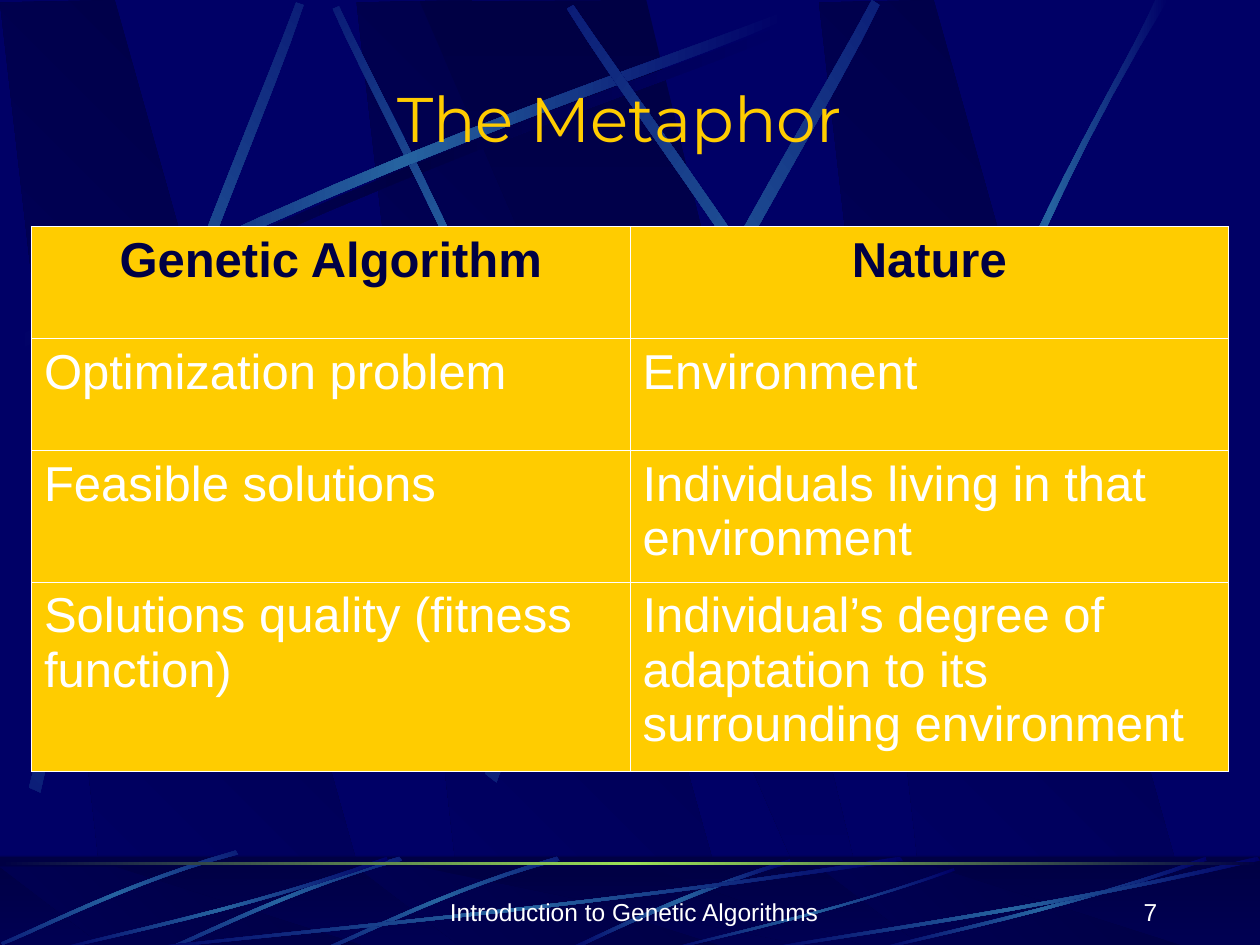
from dataclasses import dataclass
from math import cos, radians, sin

from lxml import etree
from pptx import Presentation
from pptx.dml.color import RGBColor
from pptx.enum.shapes import MSO_SHAPE
from pptx.enum.text import MSO_ANCHOR, PP_ALIGN
from pptx.oxml import parse_xml
from pptx.oxml.ns import nsdecls, qn
from pptx.util import Pt

RECT = MSO_SHAPE.RECTANGLE
MIDDLE, BOTTOM = MSO_ANCHOR.MIDDLE, MSO_ANCHOR.BOTTOM
LEFT, CENTER, RIGHT = PP_ALIGN.LEFT, PP_ALIGN.CENTER, PP_ALIGN.RIGHT

COLORS = {"blue": "000066", "navy": "000044", "steel": "2663A0",
          "green": "9CE157", "gold": "FFCC00", "white": "FFFFFF"}
BAND = ("navy", "blue")
GLOW = ("blue", "steel", "blue")
SHADE = ("blue", "navy", "blue")
GRID = 0.72  # points per unit of the outline coordinates
CURVE_STEPS = 12

Point = tuple[float, float]


@dataclass
class Streak:
    """Two cubic curves, out and back, closed into a thin blade."""
    out: list[Point]
    back: list[Point]
    rotation: float = 0
    stops: tuple[str, ...] = GLOW


@dataclass
class Label:
    text: str
    box: tuple[float, float, float, float]
    font: str
    size: float
    color: str
    align: PP_ALIGN
    anchor: MSO_ANCHOR


BAND_SHIFTS = (283, 0, 650)
WALL_BAND = [(86, 750), (302, 752), (91, 0), (0, 2)]
WALL_WEDGE = [(333, 1), (658, 751), (694, 751), (513, 0)]
FLOOR_BAND = [(86, 754), (302, 755), (91, 688), (0, 688)]
FLOOR_WEDGE = [(333, 688), (658, 754), (694, 754), (513, 688)]

WALL_STREAKS = [
    Streak([(20, 275), (284, 134), (524, 59), (626, 18)],
           [(629, 24), (528, 69), (254, 151), (23, 285)], stops=SHADE),
    Streak([(460, 436), (391, 234), (302, 77), (269, 5)],
           [(264, 7), (295, 79), (398, 258), (454, 439)], 45),
    Streak([(14, 267), (278, 125), (518, 51), (620, 10)],
           [(623, 16), (522, 61), (248, 143), (17, 277)]),
    Streak([(23, 625), (93, 334), (197, 105), (235, 2)],
           [(241, 4), (207, 108), (86, 368), (32, 629)], 311.7),
    Streak([(385, 614), (498, 320), (638, 102), (692, 0)],
           [(698, 4), (649, 108), (486, 355), (394, 621)], 321.6),
    Streak([(806, 560), (670, 293), (516, 95), (455, 4)],
           [(450, 7), (507, 101), (685, 325), (799, 566)], 34.8),
    Streak([(738, 393), (814, 173), (888, 66), (917, 0)],
           [(927, 0), (836, 145), (769, 322), (744, 397)]),
]


def shifted(points: list[Point], dx: float, dy: float = 0) -> list[Point]:
    return [(x + dx, y + dy) for x, y in points]


def floor_streaks() -> list[Streak]:
    tilted_out = [(317, 680), (230, 705), (162, 740), (131, 753)]
    tilted_back = [(132, 755), (163, 743), (240, 703), (319, 683)]
    short_out = [(308, 683), (193, 723), (88, 744), (43, 755)]
    short_back = [(42, 754), (86, 741), (206, 718), (307, 680)]
    tilted = [Streak(shifted(tilted_out, dx, dy), shifted(tilted_back, dx, dy), 314.9)
              for dx, dy in ((125, 0), (0, 0), (-130, -5))]
    short = [Streak(shifted(short_out, dx), shifted(short_back, dx)) for dx in (0, 650)]
    return [
        Streak([(627, 682), (537, 709), (477, 742), (448, 754)],
               [(453, 755), (490, 737), (571, 700), (628, 685)]),
        *tilted,
        Streak([(717, 683), (449, 723), (206, 744), (103, 755)],
               [(100, 754), (202, 741), (480, 718), (714, 680)]),
        short[0],
        Streak([(758, 691), (658, 726), (567, 745), (528, 755)],
               [(527, 754), (565, 743), (669, 722), (757, 689)]),
        short[1],
        Streak([(1000, 683), (827, 723), (669, 744), (602, 755)],
               [(600, 754), (666, 741), (846, 718), (998, 680)]),
    ]


def rgb(name: str) -> RGBColor:
    return RGBColor.from_string(COLORS[name])


def turn(x: float, y: float, degrees: float) -> Point:
    a = radians(degrees)
    return x * cos(a) - y * sin(a), x * sin(a) + y * cos(a)


def curve(p: list[Point]) -> list[Point]:
    """Sample a cubic Bezier curve."""
    points = []
    for i in range(CURVE_STEPS + 1):
        t = i / CURVE_STEPS
        w = ((1 - t) ** 3, 3 * t * (1 - t) ** 2, 3 * t * t * (1 - t), t ** 3)
        points.append((sum(a * q[0] for a, q in zip(w, p)),
                       sum(a * q[1] for a, q in zip(w, p))))
    return points


def gradient(shape, stops: tuple[str, ...], angle: int) -> None:
    shape.shadow.inherit = False
    shape.line.fill.background()
    gs = "".join(f'<a:gs pos="{100000 * i // (len(stops) - 1)}">'
                 f'<a:srgbClr val="{COLORS[c]}"/></a:gs>' for i, c in enumerate(stops))
    fill = parse_xml(f'<a:gradFill {nsdecls("a")} rotWithShape="1"><a:gsLst>{gs}</a:gsLst>'
                     f'<a:lin ang="{angle * 60000}" scaled="0"/></a:gradFill>')
    geometry = shape._element.spPr.find(qn("a:custGeom"))
    if geometry is None:
        geometry = shape._element.spPr.find(qn("a:prstGeom"))
    geometry.addnext(fill)


def outline(s, points: list[Point], stops: tuple[str, ...], angle: int,
            rotation: float = 0) -> None:
    """Draw a polygon so that, once rotated, it lies on the given points."""
    flat = [turn(Pt(x * GRID), Pt(y * GRID), -rotation) for x, y in points]
    builder = s.shapes.build_freeform(*flat[0], scale=1.0)
    builder.add_line_segments(flat[1:], close=True)
    sp = builder.convert_to_shape()
    cx, cy = sp.left + sp.width / 2, sp.top + sp.height / 2
    x, y = turn(cx, cy, rotation)
    sp.left, sp.top = round(sp.left + x - cx), round(sp.top + y - cy)
    sp.rotation = rotation
    gradient(sp, stops, angle)


def streak(s, item: Streak) -> None:
    outline(s, curve(item.out) + curve(item.back), item.stops, 180, item.rotation)


def bar(s, top: float, height: float):
    return s.shapes.add_shape(RECT, Pt(0), Pt(top), Pt(720), Pt(height))


def backdrop(s) -> None:
    s.background.fill.solid()
    s.background.fill.fore_color.rgb = rgb("blue")
    for dx in BAND_SHIFTS:
        outline(s, shifted(WALL_BAND, dx), BAND, 135)
    outline(s, WALL_WEDGE, BAND, 90)
    for item in WALL_STREAKS:
        streak(s, item)
    gradient(bar(s, 489.6, 54), BAND, 90)
    for dx in BAND_SHIFTS:
        outline(s, shifted(FLOOR_BAND, dx), BAND, 135)
    outline(s, FLOOR_WEDGE, BAND, 90)
    veil = bar(s, 488.9, 54)
    veil.shadow.inherit = False
    veil.line.fill.background()
    veil.fill.solid()
    veil.fill.fore_color.rgb = rgb("navy")
    color = veil._element.spPr.find(".//" + qn("a:srgbClr"))
    etree.SubElement(color, qn("a:alpha"), val="50000")
    for item in floor_streaks():
        streak(s, item)
    gradient(bar(s, 492.5, 1.6), ("navy", "green", "navy"), 180)


def write(p, text: str, font: str, size: float, color: str, align: PP_ALIGN,
          bold: bool = False) -> None:
    p.alignment = align
    r = p.add_run()
    r.text = text
    r.font.name, r.font.size, r.font.bold = font, Pt(size), bold
    r.font.color.rgb = rgb(color)


def label(s, item: Label) -> None:
    tf = s.shapes.add_textbox(*map(Pt, item.box)).text_frame
    tf.word_wrap = True
    tf.vertical_anchor = item.anchor
    write(tf.paragraphs[0], item.text, item.font, item.size, item.color, item.align)


def border(cell) -> None:
    tcPr = cell._tc.get_or_add_tcPr()
    for i, side in enumerate(("lnL", "lnR", "lnT", "lnB")):
        tcPr.insert(i, parse_xml(
            f'<a:{side} {nsdecls("a")} w="{Pt(0.45)}"><a:solidFill>'
            f'<a:srgbClr val="{COLORS["white"]}"/></a:solidFill></a:{side}>'))


def metaphor_table(s) -> None:
    rows = [
        (64, "Genetic Algorithm", "Nature"),
        (64, "Optimization problem", "Environment"),
        (75, "Feasible solutions", "Individuals living in that environment"),
        (108, "Solutions quality (fitness function)",
         "Individual’s degree of adaptation to its surrounding environment"),
    ]
    table = s.shapes.add_table(len(rows), 2, Pt(18), Pt(129.6), Pt(684), Pt(311)).table
    table.first_row = table.horz_banding = False
    for i, (height, *texts) in enumerate(rows):
        table.rows[i].height = Pt(height)
        head = i == 0
        for j, text in enumerate(texts):
            cell = table.cell(i, j)
            cell.fill.solid()
            cell.fill.fore_color.rgb = rgb("gold")
            border(cell)
            p = cell.text_frame.paragraphs[0]
            p.space_before = Pt(7)
            write(p, text, "Arial", 28, "navy" if head else "white",
                  CENTER if head else LEFT, head)


def main() -> None:
    prs = Presentation()
    prs.slide_width, prs.slide_height = Pt(720), Pt(540)
    s = prs.slides.add_slide(prs.slide_layouts[6])
    backdrop(s)
    label(s, Label("The Metaphor", (48, 42, 612, 50), "Montserrat", 36, "gold", CENTER, MIDDLE))
    metaphor_table(s)
    label(s, Label("Introduction to Genetic Algorithms", (248.4, 496.8, 228, 36),
                   "Arial", 14, "white", CENTER, BOTTOM))
    label(s, Label("7", (518.4, 496.8, 150, 36), "Arial", 14, "white", RIGHT, BOTTOM))
    prs.save("out.pptx")


if __name__ == "__main__":
    main()
